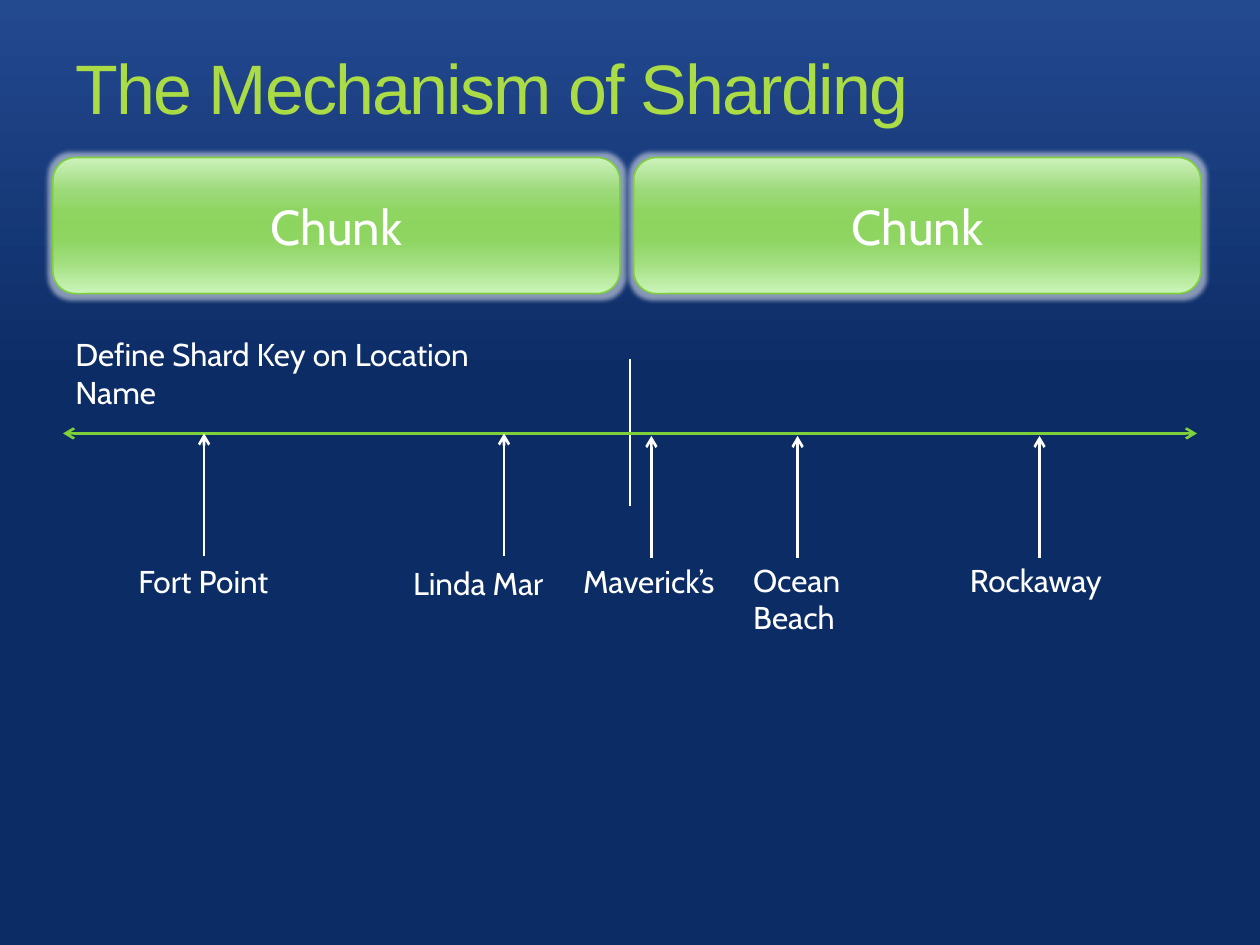
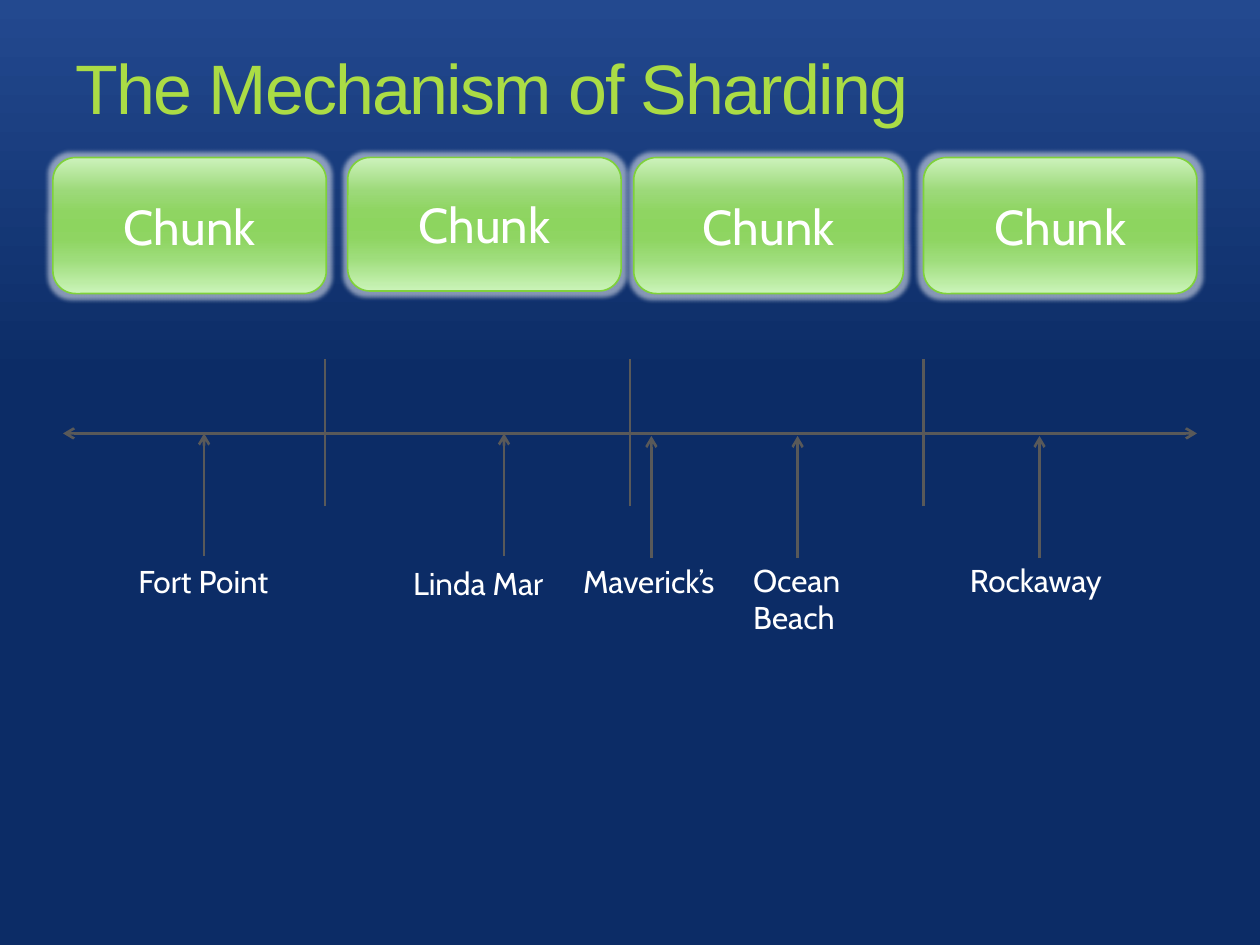
import pptx
import pptx.dml.color
import pptx.enum.shapes
import pptx.enum.text
import pptx.oxml
import pptx.oxml.ns
import pptx.util

Inches, Pt = pptx.util.Inches, pptx.util.Pt
RGBColor = pptx.dml.color.RGBColor
qn = pptx.oxml.ns.qn
NAMESPACE = pptx.oxml.ns.nsdecls("a")

# Content
TITLE = "The Mechanism of Sharding"
CHUNK_LABEL = "Chunk"
KEY_NOTE = "Define Shard Key on Location Name"
# name, label left, label top, label width, arrow x, arrow tip y
LOCATIONS = [
    ("Fort Point", 1, 4.41, 1.3, 1.62, 3.44),
    ("Linda Mar", 3.18, 4.43, 1.3, 4, 3.44),
    ("Maverick’s", 4.53, 4.41, 1.3, 5.17, 3.46),
    ("Ocean Beach", 5.88, 4.4, 1.5, 6.33, 3.46),
    ("Rockaway", 7.6, 4.4, 1.3, 8.25, 3.46),
]

# Colours and fonts
WHITE = RGBColor(0xFF, 0xFF, 0xFF)
GREY = RGBColor(0x59, 0x59, 0x59)
GREEN = RGBColor(0x7F, 0xD1, 0x3B)
LIME = RGBColor(0xAB, 0xDC, 0x45)
BACKGROUND_STOPS = [(60, RGBColor(0x0C, 0x2C, 0x66)), (100, RGBColor(0x23, 0x49, 0x8F))]
CHUNK_STOPS = [
    (0, RGBColor(0xCC, 0xF2, 0xBB)),
    (25, RGBColor(0x9C, 0xD9, 0x79)),
    (40, RGBColor(0x8F, 0xD5, 0x62)),
    (50, RGBColor(0x8D, 0xD5, 0x5F)),
    (60, RGBColor(0x8F, 0xD5, 0x62)),
    (75, RGBColor(0x9E, 0xDD, 0x7B)),
    (100, RGBColor(0xCB, 0xF4, 0xB9)),
]
TITLE_FONT, BODY_FONT = "Arial", "Cabin"

# Each slide: chunks as (left, width, height), split positions, line colours, note
SLIDES = [
    dict(chunks=[(0.42, 4.5, 1.08), (5.03, 4.5, 1.08)], splits=[5],
         axis_color=GREEN, mark_color=WHITE, note=KEY_NOTE),
    dict(chunks=[(0.42, 2.17, 1.08), (2.76, 2.17, 1.06), (5.03, 2.14, 1.08), (7.33, 2.17, 1.08)],
         splits=[2.58, 5, 7.33], axis_color=GREY, mark_color=GREY, note=None),
]

# Layout, in inches
SLIDE_WIDTH, SLIDE_HEIGHT, MARGIN = 10, 7.5, 0.5
CHUNK_TOP = 1.25
AXIS_Y = 3.44
SPLIT_TOP, SPLIT_BOTTOM = 2.85, 4.02
ARROW_LENGTH = 0.97


def set_gradient(fill, owner, stops, angle):
    """Fill with the given stops; the angle runs clockwise."""
    fill.gradient()
    fill.gradient_angle = 360 - angle
    stop_list = owner.find(".//" + qn("a:gsLst"))
    for stop in list(stop_list):
        stop_list.remove(stop)
    for share, color in stops:
        stop_list.append(pptx.oxml.parse_xml(
            f'<a:gs {NAMESPACE} pos="{share * 1000}"><a:srgbClr val="{color}"/></a:gs>'))


def add_span(para, text, size, font=BODY_FONT, color=WHITE):
    span = para.add_run()
    span.text = text
    span.font.size, span.font.name = Pt(size), font
    span.font.color.rgb = color
    return span


def add_title(page):
    title = page.shapes.title
    frame = title.text_frame
    frame.vertical_anchor = pptx.enum.text.MSO_ANCHOR.TOP
    frame.margin_top = Inches(0.1)
    para = frame.paragraphs[0]
    para.alignment = pptx.enum.text.PP_ALIGN.LEFT
    span = add_span(para, TITLE, 40, TITLE_FONT, LIME)
    span.font._element.set("spc", "-100")


def add_label(page, text, left, top, width):
    box = page.shapes.add_textbox(Inches(left), Inches(top), Inches(width), Inches(0.4))
    box.text_frame.word_wrap = True
    add_span(box.text_frame.paragraphs[0], text, 18)


def add_chunk(page, left, width, height):
    chunk = page.shapes.add_shape(
        pptx.enum.shapes.MSO_SHAPE.ROUNDED_RECTANGLE,
        Inches(left), Inches(CHUNK_TOP), Inches(width), Inches(height))
    set_gradient(chunk.fill, chunk._element, CHUNK_STOPS, 90)
    chunk.line.color.rgb, chunk.line.width = GREEN, Pt(0.94)
    # Soft white glow instead of the theme shadow
    chunk.shadow.inherit = False
    chunk._element.spPr.find(qn("a:effectLst")).append(pptx.oxml.parse_xml(
        f'<a:glow {NAMESPACE} rad="{Pt(5)}"><a:srgbClr val="{WHITE}">'
        '<a:alpha val="50000"/></a:srgbClr></a:glow>'))
    para = chunk.text_frame.paragraphs[0]
    para.alignment = pptx.enum.text.PP_ALIGN.CENTER
    add_span(para, CHUNK_LABEL, 28)


def add_line(page, start, end, color, arrowheads=()):
    line = page.shapes.add_connector(
        pptx.enum.shapes.MSO_CONNECTOR.STRAIGHT, *map(Inches, start + end))
    line.line.color.rgb, line.line.width = color, Pt(1.5)
    for arrowhead in arrowheads:
        line.line._get_or_add_ln().append(
            pptx.oxml.parse_xml(f'<a:{arrowhead} {NAMESPACE} type="arrow"/>'))
    line._element.spPr.append(pptx.oxml.parse_xml(f"<a:effectLst {NAMESPACE}/>"))


def add_sharding_slide(deck, layout, chunks, splits, axis_color, mark_color, note):
    page = deck.slides.add_slide(layout)
    add_title(page)
    for chunk in chunks:
        add_chunk(page, *chunk)
    if note:
        add_label(page, note, MARGIN, 2.61, 3.96)

    # Key range with its split points
    for x in splits:
        add_line(page, (x, SPLIT_BOTTOM), (x, SPLIT_TOP), mark_color)
    add_line(page, (MARGIN, AXIS_Y), (SLIDE_WIDTH - MARGIN, AXIS_Y), axis_color,
             ("headEnd", "tailEnd"))

    # Locations along the range
    for name, left, top, width, x, tip in LOCATIONS:
        add_label(page, name, left, top, width)
        add_line(page, (x, tip + ARROW_LENGTH), (x, tip), mark_color, ("tailEnd",))


def main():
    deck = pptx.Presentation()
    deck.slide_width, deck.slide_height = Inches(SLIDE_WIDTH), Inches(SLIDE_HEIGHT)
    master = deck.slide_master
    set_gradient(master.background.fill, master._element, BACKGROUND_STOPS, 270)

    # Title place shared by all slides
    layout = deck.slide_layouts.get_by_name("Title Only")
    title = layout.placeholders[0]
    title.left, title.top = Inches(MARGIN), Inches(0.25)
    title.width, title.height = Inches(SLIDE_WIDTH - 2 * MARGIN), Inches(1)

    for slide in SLIDES:
        add_sharding_slide(deck, layout, **slide)
    deck.save("out.pptx")


if __name__ == "__main__":
    main()
